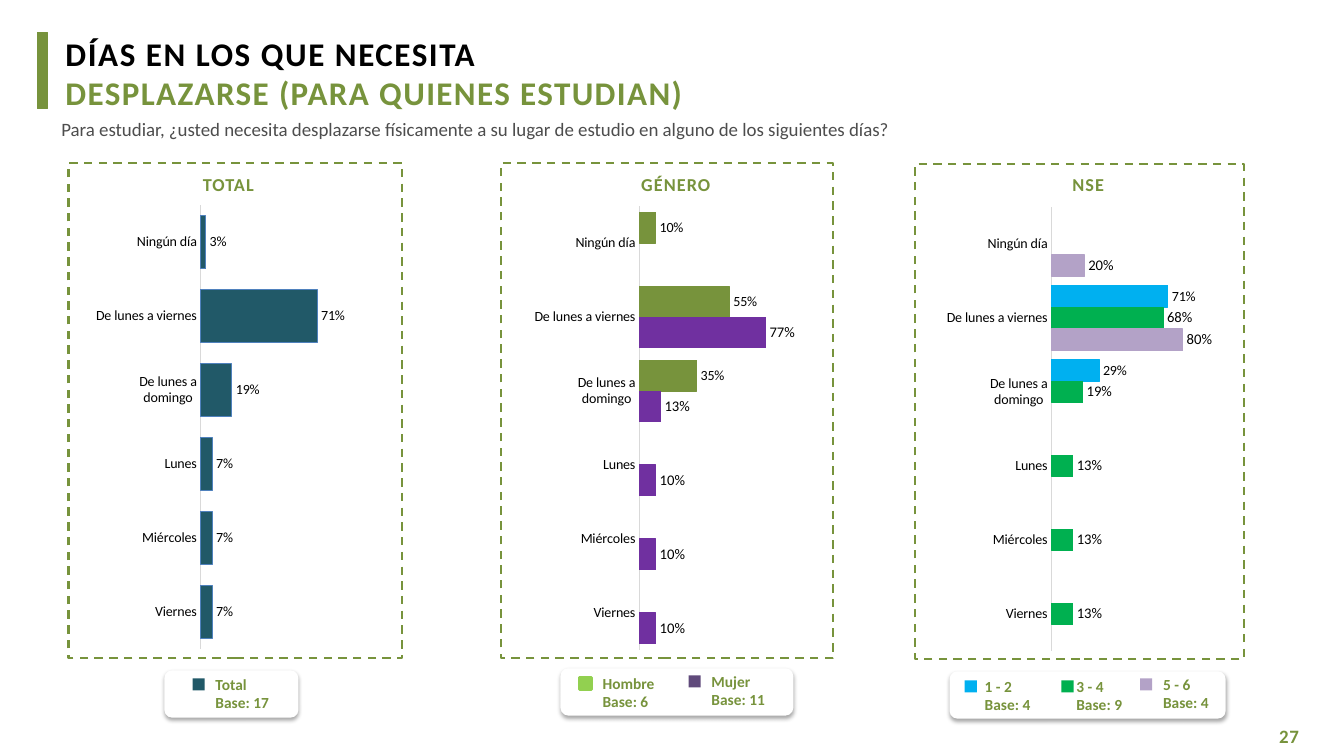
"""Build the slide on study travel days by total, gender and socioeconomic level."""
from dataclasses import dataclass
from typing import Any, NamedTuple

from lxml.etree import SubElement
from pptx import Presentation
from pptx.chart.data import CategoryChartData
from pptx.dml.color import RGBColor
from pptx.enum.chart import XL_CHART_TYPE, XL_LABEL_POSITION, XL_TICK_MARK
from pptx.enum.dml import MSO_LINE
from pptx.enum.shapes import MSO_SHAPE
from pptx.enum.text import PP_ALIGN
from pptx.oxml import parse_xml
from pptx.oxml.ns import nsdecls, qn
from pptx.shapes.autoshape import Shape
from pptx.slide import Slide
from pptx.util import Inches, Pt

SLIDE_WIDTH, SLIDE_HEIGHT = Inches(13.333), Inches(7.5)
COLUMN, ROW = SLIDE_WIDTH / 100, SLIDE_HEIGHT / 100
DAYS = ["Ningún día", "De lunes a viernes", "De lunes a domingo", "Lunes", "Miércoles", "Viernes"]
PERCENT = "###0%"
PLOT_SHARES = {"x": 0.318, "y": 0.037, "w": 0.483, "h": 0.927}


@dataclass(frozen=True)
class Theme:
    font: str = "Calibri"
    green: str = "77933C"
    black: str = "000000"
    gray: str = "4D4D4D"
    white: str = "FFFFFF"
    axis: str = "D9D9D9"
    lime: str = "92D050"
    teal: str = "215968"
    blue: str = "4F81BD"
    purple: str = "7030A0"
    violet: str = "604A7B"
    sky: str = "00B0F0"
    emerald: str = "00B050"
    lilac: str = "B3A2C7"
    title_size: float = 23.6
    body_size: float = 13.5
    heading_size: float = 13
    key_size: float = 11
    axis_size: float = 10
    label_size: float = 10.5
    hairline: float = 0.75
    frame_line: float = 1.5


THEME = Theme()


class Area(NamedTuple):
    column: float
    row: float
    columns: float
    rows: float

    def lengths(self) -> tuple[int, int, int, int]:
        return (round(self.column * COLUMN), round(self.row * ROW),
                round(self.columns * COLUMN), round(self.rows * ROW))


class Span(NamedTuple):
    text: str
    size: float
    color: str
    bold: bool = True
    spacing: float = 0


class Bars(NamedTuple):
    values: list[float | None]
    fill: str
    outline: str
    label_size: float = THEME.label_size


class Key(NamedTuple):
    name: str
    base: int
    color: str
    column: float
    row: float
    gap: float = 0.97
    outline: float = 0


@dataclass(frozen=True)
class Panel:
    heading: str
    frame: Area
    heading_column: float
    chart_column: float
    chart_row: float
    legend: Area
    bars: list[Bars]
    keys: list[Key]


PANELS = [
    Panel("TOTAL", Area(5.1, 21.6, 24.83, 65.47), 8.1, 6.9, 24.8, Area(12.23, 88.67, 9.98, 6.27),
          [Bars([0.03, 0.71, 0.19, 0.07, 0.07, 0.07], THEME.teal, THEME.blue, THEME.axis_size)],
          [Key("Total", 17, THEME.teal, 14.33, 89.73)]),
    Panel("GÉNERO", Area(37.28, 21.6, 24.68, 65.47), 41.4, 39.53, 24.93, Area(41.7, 88.4, 17.33, 6.27),
          [Bars([0.1, 0.55, 0.35, None, None, None], THEME.green, THEME.green, THEME.axis_size),
           Bars([None, 0.77, 0.13, 0.1, 0.1, 0.1], THEME.purple, THEME.purple)],
          [Key("Hombre", 6, THEME.lime, 43.13, 89.6, outline=2),
           Key("Mujer", 11, THEME.violet, 51.23, 89.33)]),
    Panel("NSE", Area(68.1, 21.73, 24.45, 65.47), 72.08, 70.2, 25.07, Area(70.65, 88.8, 20.55, 6.27),
          [Bars([None, 0.71, 0.29, None, None, None], THEME.sky, THEME.sky, THEME.axis_size),
           Bars([None, 0.68, 0.19, 0.13, 0.13, 0.13], THEME.emerald, THEME.emerald),
           Bars([0.2, 0.8, None, None, None, None], THEME.lilac, THEME.lilac)],
          [Key("1 - 2", 4, THEME.sky, 71.78, 90, 0.75),
           Key("3 - 4", 9, THEME.emerald, 78.98, 90, 0.37),
           Key("5 - 6", 4, THEME.lilac, 84.83, 89.73)]),
]


def apply_formats(target: Any, formats: dict[str, Any]) -> None:
    for name, value in formats.items():
        setattr(target, name, value)


def style_font(font: Any, size: float, color: str, bold: bool = False) -> None:
    apply_formats(font, {"name": THEME.font, "size": Pt(size), "bold": bold})
    font.color.rgb = RGBColor.from_string(color)


def paint(target: Any, fill: str | None, line: str | None = None, width: float = THEME.hairline) -> None:
    if fill:
        target.fill.solid()
        target.fill.fore_color.rgb = RGBColor.from_string(fill)
    else:
        target.fill.background()
    if line:
        target.line.color.rgb = RGBColor.from_string(line)
        target.line.width = Pt(width)
    else:
        target.line.fill.background()


def add_box(shapes: Any, area: Area, fill: str | None, line: str | None = None,
            width: float = THEME.hairline, kind: MSO_SHAPE = MSO_SHAPE.RECTANGLE) -> Shape:
    box = shapes.add_shape(kind, *area.lengths())
    box.shadow.inherit = False
    paint(box, fill, line, width)
    return box


def add_text(shapes: Any, area: Area, spans: list[Span], align: PP_ALIGN = PP_ALIGN.LEFT,
             inset: bool = False) -> None:
    frame = shapes.add_textbox(*area.lengths()).text_frame
    frame.word_wrap = True
    if not inset:
        apply_formats(frame, {"margin_left": Inches(0.01), "margin_right": 0,
                              "margin_top": Inches(0.02), "margin_bottom": 0})
    for index, span in enumerate(spans):
        para = frame.add_paragraph() if index else frame.paragraphs[0]
        para.alignment = align
        run = para.add_run()
        run.text = span.text
        style_font(run.font, span.size, span.color, span.bold)
        if span.spacing:
            run._r.get_or_add_rPr().set("spc", str(round(span.spacing * 100)))


def add_legend(page: Slide, panel: Panel) -> None:
    shapes = page.shapes.add_group_shape().shapes
    card = add_box(shapes, panel.legend, THEME.white, kind=MSO_SHAPE.ROUNDED_RECTANGLE)
    effects = card._element.spPr.find(qn("a:effectLst"))
    shadow = SubElement(effects, qn("a:outerShdw"), blurRad=str(Pt(3.1)), dist=str(Pt(1.8)),
                        dir="5400000", rotWithShape="0")
    tint = SubElement(shadow, qn("a:srgbClr"), val=THEME.black)
    SubElement(tint, qn("a:alpha"), val="35000")
    for key in panel.keys:
        add_box(shapes, Area(key.column, key.row, 0.9, 1.6), key.color,
                key.color if key.outline else None, key.outline)
        add_text(shapes, Area(key.column + key.gap, key.row - 1.1, 5.6, 6.27),
                 [Span(text, THEME.key_size, THEME.green) for text in (key.name, f"Base: {key.base}")],
                 inset=True)


def add_bars(page: Slide, panel: Panel) -> None:
    data = CategoryChartData(number_format=PERCENT)
    data.categories = DAYS
    for number, bars in enumerate(panel.bars, 1):
        data.add_series(f"Series {number}", bars.values)
    area = Area(panel.chart_column, panel.chart_row, 25.28, 63.33)
    chart = page.shapes.add_chart(XL_CHART_TYPE.BAR_CLUSTERED, *area.lengths(), data).chart
    apply_formats(chart, {"has_title": False, "has_legend": False})
    style_font(chart.font, THEME.axis_size, THEME.black)
    apply_formats(chart.value_axis, {"visible": False, "has_major_gridlines": False,
                                     "minimum_scale": 0, "maximum_scale": 1})
    axis = chart.category_axis
    apply_formats(axis, {"reverse_order": True, "major_tick_mark": XL_TICK_MARK.NONE,
                         "has_major_gridlines": False})
    style_font(axis.tick_labels.font, THEME.axis_size, THEME.black)
    axis.format.line.color.rgb = RGBColor.from_string(THEME.axis)
    axis.format.line.width = Pt(THEME.hairline)
    plot = chart.plots[0]
    apply_formats(plot, {"gap_width": 40, "overlap": 0, "vary_by_categories": False})
    for series, bars in zip(plot.series, panel.bars):
        paint(series.format, bars.fill, bars.outline)
        series.invert_if_negative = False
        labels = series.data_labels
        apply_formats(labels, {"show_value": True, "number_format": PERCENT,
                               "number_format_is_linked": False,
                               "position": XL_LABEL_POSITION.OUTSIDE_END})
        style_font(labels.font, bars.label_size, THEME.black)
    plot_area = chart._chartSpace.chart.plotArea
    for layout in plot_area.findall(qn("c:layout")):
        plot_area.remove(layout)
    sizes = "".join(f'<c:{name} val="{share}"/>' for name, share in PLOT_SHARES.items())
    plot_area.insert(0, parse_xml(
        f'<c:layout {nsdecls("c")}><c:manualLayout><c:layoutTarget val="inner"/>'
        f'<c:xMode val="edge"/><c:yMode val="edge"/>{sizes}</c:manualLayout></c:layout>'))


def main() -> None:
    deck = Presentation()
    apply_formats(deck, {"slide_width": SLIDE_WIDTH, "slide_height": SLIDE_HEIGHT})
    page = deck.slides.add_slide(deck.slide_layouts[6])
    add_box(page.shapes, Area(2.78, 4.27, 0.75, 10.13), THEME.green, THEME.green)
    add_text(page.shapes, Area(4.8, 4.13, 55.3, 10.93),
             [Span("DÍAS EN LOS QUE NECESITA", THEME.title_size, THEME.black, spacing=1.1),
              Span("DESPLAZARSE (PARA QUIENES ESTUDIAN)", THEME.title_size, THEME.green, spacing=1)])
    add_text(page.shapes, Area(4.5, 15.33, 74.5, 3.2),
             [Span("Para estudiar, ¿usted necesita desplazarse físicamente a su lugar de estudio "
                   "en alguno de los siguientes días?", THEME.body_size, THEME.gray, bold=False)])
    for panel in PANELS:
        frame = add_box(page.shapes, panel.frame, None, THEME.green, THEME.frame_line)
        frame.line.dash_style = MSO_LINE.DASH
        add_text(page.shapes, Area(panel.heading_column, 22.67, 17.7, 3.07),
                 [Span(panel.heading, THEME.heading_size, THEME.green, spacing=0.8)], PP_ALIGN.CENTER)
        add_bars(page, panel)
        add_legend(page, panel)
    add_text(page.shapes, Area(95.1, 95.6, 2.55, 3.2),
             [Span("27", THEME.body_size, THEME.green, spacing=0.6)])
    deck.save("out.pptx")


if __name__ == "__main__":
    main()
